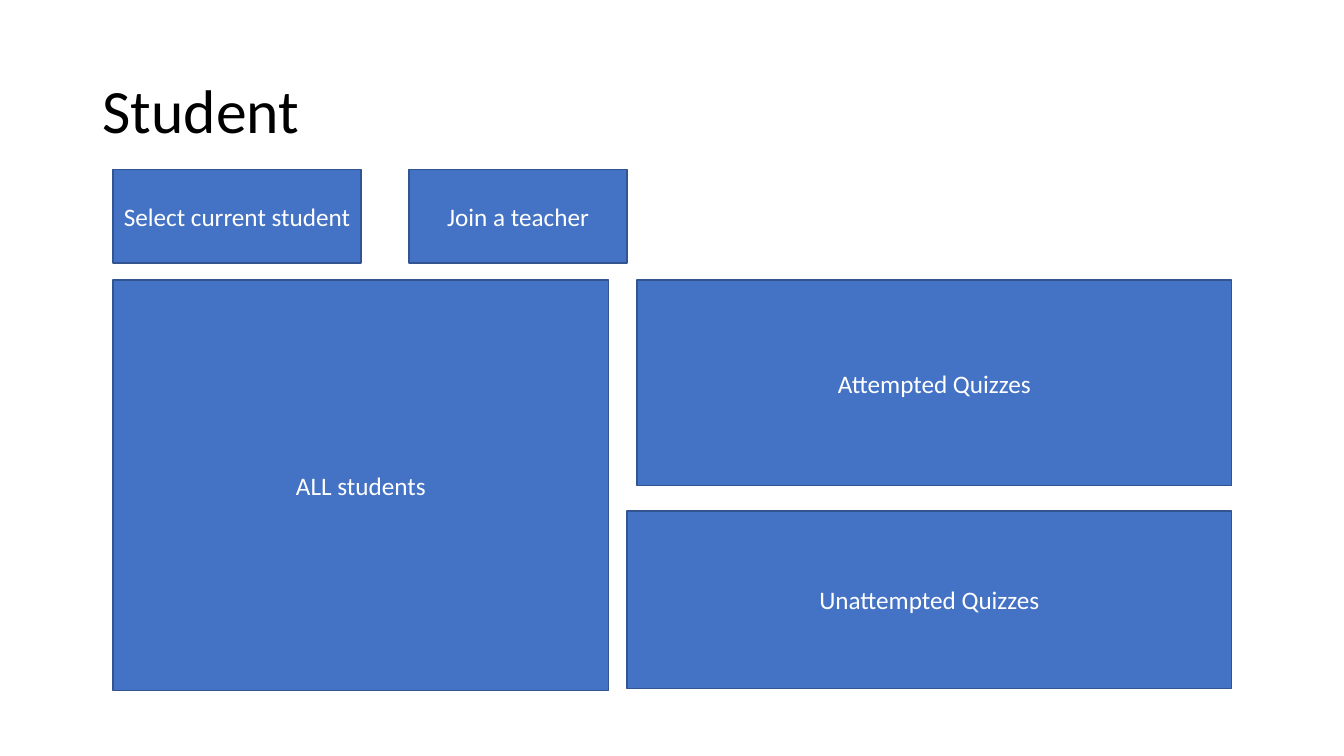
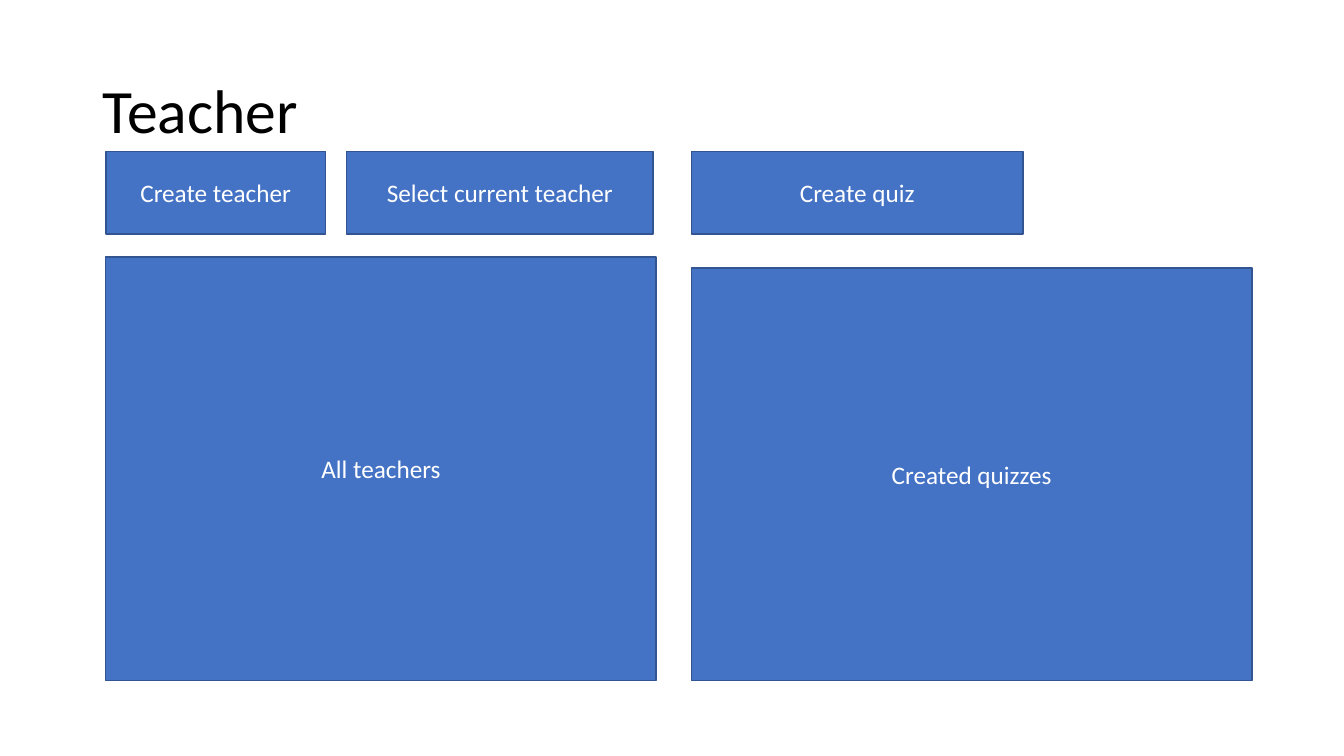
from pptx import Presentation
from pptx.dml.color import RGBColor
from pptx.enum import shapes, text
from pptx.util import Pt

COLORS = {"panel": "4472C4", "border": "325491", "label": "FFFFFF", "heading": "000000"}
FRAME = {
    "word_wrap": True,
    "auto_size": text.MSO_AUTO_SIZE.NONE,
    "vertical_anchor": text.MSO_ANCHOR.MIDDLE,
}
HEADING = {"alignment": text.PP_ALIGN.LEFT, "line_spacing": 0.9}
LABEL = {"alignment": text.PP_ALIGN.CENTER}


def apply(target, values):
    for name, value in values.items():
        setattr(target, name, value)


class Wireframe:
    """Draws titled screens of labelled panels, measured in points."""

    def __init__(self, width, height):
        self.deck = Presentation()
        apply(self.deck, {"slide_width": Pt(width), "slide_height": Pt(height)})
        self.slide = None

    def caption(self, shape, wording, size, color, paragraph_style):
        frame = shape.text_frame
        apply(frame, FRAME)
        paragraph = frame.paragraphs[0]
        apply(paragraph, paragraph_style)
        run = paragraph.add_run()
        run.text = wording
        apply(run.font, {"name": "Calibri", "size": Pt(size)})
        run.font.color.rgb = RGBColor.from_string(COLORS[color])

    def screen(self, heading):
        self.slide = self.deck.slides.add_slide(self.deck.slide_layouts[5])
        title = self.slide.shapes.title
        apply(title, {"left": Pt(66), "top": Pt(28.8), "width": Pt(828), "height": Pt(104.4)})
        self.caption(title, heading, 44, "heading", HEADING)

    def panel(self, label, left, top, width, height):
        box = self.slide.shapes.add_shape(
            shapes.MSO_SHAPE.RECTANGLE, Pt(left), Pt(top), Pt(width), Pt(height))
        box.shadow.inherit = False
        box.fill.solid()
        box.fill.fore_color.rgb = RGBColor.from_string(COLORS["panel"])
        box.line.color.rgb = RGBColor.from_string(COLORS["border"])
        box.line.width = Pt(1)
        self.caption(box, label, 18, "label", LABEL)

    def buttons(self, top, height, *spans):
        for label, left, width in spans:
            self.panel(label, left, top, width, height)


wireframe = Wireframe(960, 540)

wireframe.screen("Student")
wireframe.panel("ALL students", 80.64, 200.16, 354.24, 293.04)
wireframe.panel("Unattempted Quizzes", 447.84, 365.04, 432, 126.72)
wireframe.buttons(
    120.96, 66.96,
    ("Select current student", 80.64, 177.4),
    ("Join a teacher", 292.32, 155.52),
)
wireframe.panel("Attempted Quizzes", 455.04, 200.16, 424.8, 146.88)

wireframe.screen("Teacher")
wireframe.panel("All teachers", 75.6, 183.6, 393.12, 302.4)
wireframe.panel("Created quizzes", 493.92, 191.52, 400.32, 294.48)
wireframe.buttons(
    108, 59.04,
    ("Create teacher", 75.6, 156.96),
    ("Select current teacher", 247.68, 218.88),
    ("Create quiz", 493.92, 236.88),
)

wireframe.deck.save("out.pptx")
